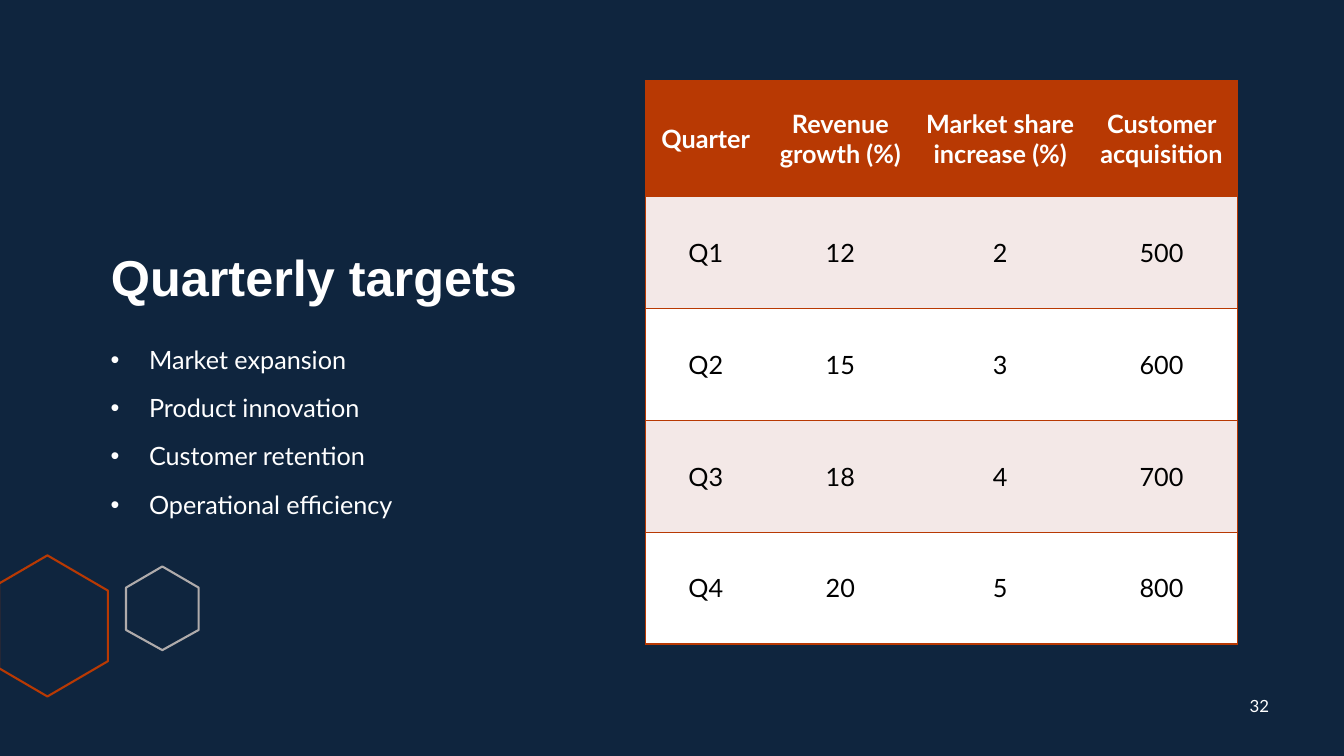
from dataclasses import dataclass
from lxml.etree import SubElement
from pptx import Presentation
from pptx.dml.color import RGBColor
from pptx.enum.text import MSO_ANCHOR, MSO_AUTO_SIZE, PP_ALIGN
from pptx.oxml.ns import qn
from pptx.slide import Slide
from pptx.table import _Cell
from pptx.text.text import TextFrame
from pptx.util import Inches, Pt


@dataclass(frozen=True)
class Theme:
    navy: str = "0F253E"
    rust: str = "B83903"
    gray: str = "AFABAB"
    blush: str = "F3E8E7"
    white: str = "FFFFFF"
    black: str = "000000"
    head: str = "Arial"
    body: str = "Lato"
    large: float = 36
    base: float = 18
    small: float = 12


@dataclass(frozen=True)
class Outline:
    points: tuple[tuple[float, float], ...]
    color: str


THEME = Theme()

HEXES = (
    Outline(((0.47, 5.51), (1.07, 5.86), (1.07, 6.56), (0.47, 6.91),
             (-0.01, 6.63), (-0.01, 5.79)), THEME.rust),
    Outline(((1.61, 5.62), (1.97, 5.83), (1.97, 6.25), (1.61, 6.45),
             (1.25, 6.25), (1.25, 5.83)), THEME.gray),
)

GOALS = ["Market expansion", "Product innovation",
         "Customer retention", "Operational efficiency"]

ROWS = (
    ("Quarter", "Revenue growth (%)", "Market share increase (%)", "Customer acquisition"),
    ("Q1", "12", "2", "500"),
    ("Q2", "15", "3", "600"),
    ("Q3", "18", "4", "700"),
    ("Q4", "20", "5", "800"),
)
WIDTHS = (1.2, 1.47, 1.7, 1.5)
HEIGHTS = (1.15,) + (1.11,) * 4


def write(frame: TextFrame, lines: list[str], *, size: float = THEME.base,
          color: str = THEME.white, font: str = THEME.body, bold: bool = False,
          align: PP_ALIGN = PP_ALIGN.LEFT, anchor: MSO_ANCHOR = MSO_ANCHOR.TOP,
          pitch: float = 1.0, gap: float = 0, bullet: bool = False) -> None:
    frame.word_wrap = True
    frame.vertical_anchor = anchor
    for i, line in enumerate(lines):
        para = frame.paragraphs[0] if i == 0 else frame.add_paragraph()
        para.text = line
        para.alignment = align
        para.line_spacing = pitch
        para.space_before = Pt(gap if i else 0)
        if bullet:
            props = para._p.get_or_add_pPr()
            props.set("marL", str(Inches(0.38)))
            props.set("indent", str(-Inches(0.38)))
            SubElement(props, qn("a:buFont")).set("typeface", "Arial")
            SubElement(props, qn("a:buChar")).set("char", "•")
        for run in para.runs:
            run.font.name = font
            run.font.size = Pt(size)
            run.font.bold = bold
            run.font.color.rgb = RGBColor.from_string(color)


def draw_hex(slide: Slide, item: Outline) -> None:
    first, *rest = [(Inches(x), Inches(y)) for x, y in item.points]
    pen = slide.shapes.build_freeform(*first)
    pen.add_line_segments(rest, close=True)
    shape = pen.convert_to_shape()
    shape.shadow.inherit = False
    shape.fill.background()
    shape.line.color.rgb = RGBColor.from_string(item.color)
    shape.line.width = Pt(1.5)


def edge(cell: _Cell, sides: str) -> None:
    props = cell._tc.get_or_add_tcPr()
    for side in "LRTB":
        line = SubElement(props, qn(f"a:ln{side}"), w=str(Pt(1)))
        if side in sides:
            fill = SubElement(line, qn("a:solidFill"))
            SubElement(fill, qn("a:srgbClr"), val=THEME.rust)
        else:
            SubElement(line, qn("a:noFill"))


def draw_table(slide: Slide) -> None:
    table = slide.shapes.add_table(
        len(ROWS), len(WIDTHS), Inches(6.4), Inches(0.8),
        Inches(sum(WIDTHS)), Inches(sum(HEIGHTS))).table
    for col, width in zip(table.columns, WIDTHS):
        col.width = Inches(width)
    for r, (row, height) in enumerate(zip(ROWS, HEIGHTS)):
        table.rows[r].height = Inches(height)
        head = r == 0
        fill = THEME.rust if head else THEME.blush if r % 2 else THEME.white
        for c, text in enumerate(row):
            cell = table.cell(r, c)
            edge(cell, "TB" + ("L" if c == 0 else "R" if c == len(row) - 1 else ""))
            cell.fill.solid()
            cell.fill.fore_color.rgb = RGBColor.from_string(fill)
            write(cell.text_frame, [text], bold=head, align=PP_ALIGN.CENTER,
                  color=THEME.white if head else THEME.black)
            cell.vertical_anchor = MSO_ANCHOR.MIDDLE


def main() -> None:
    deck = Presentation()
    deck.slide_width, deck.slide_height = Inches(13.33), Inches(7.5)
    slide = deck.slides.add_slide(deck.slide_layouts[5])
    slide.background.fill.solid()
    slide.background.fill.fore_color.rgb = RGBColor.from_string(THEME.navy)

    for item in HEXES:
        draw_hex(slide, item)

    title = slide.shapes.title
    title.left, title.top = Inches(1), Inches(0.8)
    title.width, title.height = Inches(4.8), Inches(2.3)
    title.text_frame.auto_size = MSO_AUTO_SIZE.NONE
    write(title.text_frame, ["Quarterly targets"], size=THEME.large, font=THEME.head,
          bold=True, anchor=MSO_ANCHOR.BOTTOM, pitch=0.9)

    goals = slide.shapes.add_textbox(Inches(1), Inches(3.4), Inches(4.8), Inches(2.1))
    write(goals.text_frame, GOALS, pitch=0.9, gap=15, bullet=True)

    draw_table(slide)

    page = slide.shapes.add_textbox(Inches(12.24), Inches(6.8), Inches(0.5), Inches(0.4))
    write(page.text_frame, ["32"], size=THEME.small, align=PP_ALIGN.CENTER,
          anchor=MSO_ANCHOR.MIDDLE)

    deck.save("out.pptx")


if __name__ == "__main__":
    main()
